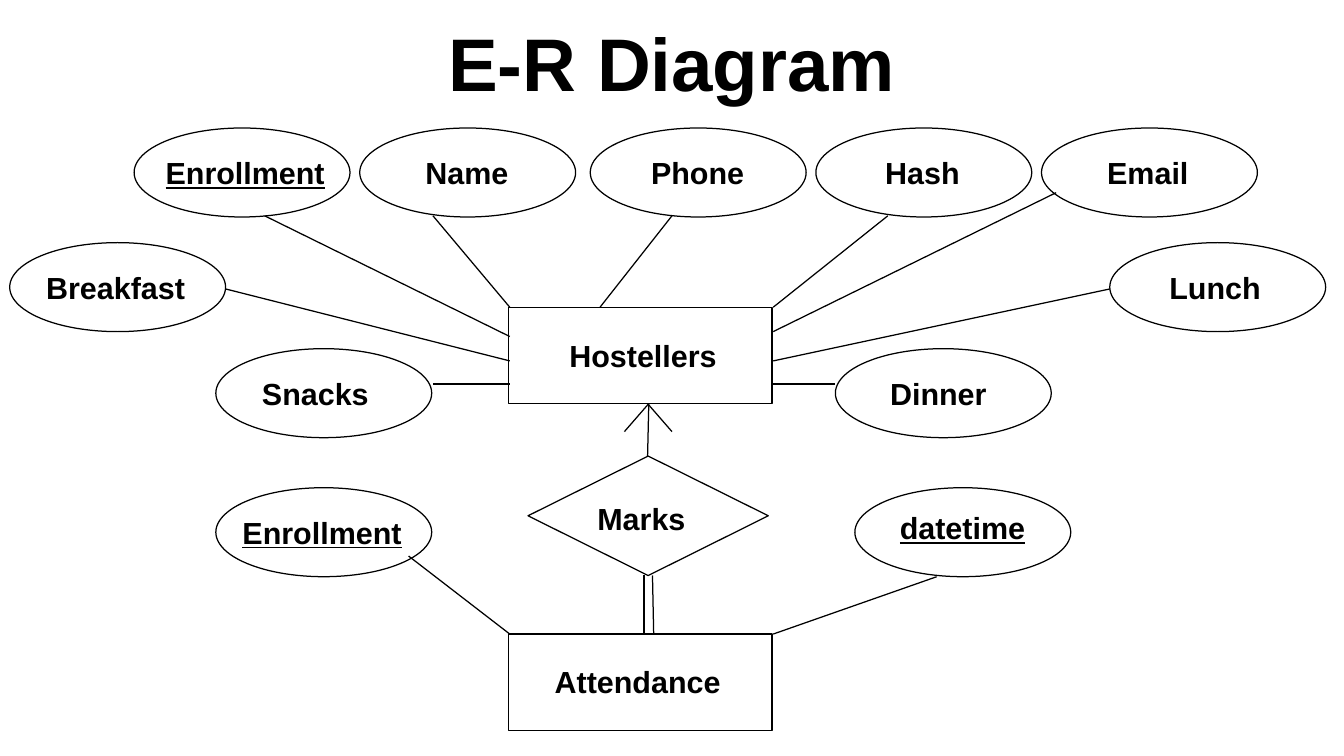
from dataclasses import dataclass
from lxml.etree import SubElement
from pptx import Presentation
from pptx.dml.color import RGBColor
from pptx.enum.shapes import MSO_CONNECTOR as Link, MSO_SHAPE as Kind
from pptx.enum.text import MSO_ANCHOR as Anchor, PP_ALIGN as Align
from pptx.oxml.ns import qn
from pptx.util import Inches, Pt


@dataclass
class Theme:
    ink = RGBColor(0, 0, 0)
    font = "Arial"
    head = Pt(44)
    body = Pt(18)
    line = Pt(0.75)


def write(frame, text, size, under=None):
    para = frame.paragraphs[0]
    para.line_spacing = 0.93
    run = para.add_run()
    run.text = text
    font = run.font
    font.name, font.size, font.bold = Theme.font, size, True
    font.underline = under
    font.color.rgb = Theme.ink
    return para


def pen(line):
    line.color.rgb = Theme.ink
    line.width = Theme.line


deck = Presentation()
deck.slide_width, deck.slide_height = Inches(11.02), Inches(6.2)
slide = deck.slides.add_slide(deck.slide_layouts[5])
shapes = slide.shapes

title = shapes.title
title.left, title.top = Inches(0.55), Inches(0.01)
title.width, title.height = Inches(9.92), Inches(1.04)
frame = title.text_frame
frame.margin_left = frame.margin_right = frame.margin_bottom = 0
frame.margin_top = Inches(0.04)
frame.vertical_anchor = Anchor.MIDDLE
write(frame, "E-R Diagram", Theme.head).alignment = Align.CENTER

sizes = {
    Kind.RECTANGLE: (2.16, 0.79),
    Kind.OVAL: (1.77, 0.73),
    Kind.DIAMOND: (1.97, 0.98),
}
nodes = [
    (Kind.RECTANGLE, 4.17, 2.52, "Hostellers", 4.57, 2.72, False),
    (Kind.RECTANGLE, 4.17, 5.2, "Attendance", 4.45, 5.39, False),
    (Kind.DIAMOND, 4.33, 3.74, "Marks", 4.8, 4.06, False),
    (Kind.OVAL, 1.1, 1.05, "Enrollment", 1.26, 1.22, True),
    (Kind.OVAL, 2.95, 1.05, "Name", 3.39, 1.22, False),
    (Kind.OVAL, 4.84, 1.05, "Phone", 5.24, 1.22, False),
    (Kind.OVAL, 6.69, 1.05, "Hash", 7.16, 1.22, False),
    (Kind.OVAL, 8.54, 1.05, "Email", 8.98, 1.22, False),
    (Kind.OVAL, 0.08, 1.99, "Breakfast", 0.28, 2.16, False),
    (Kind.OVAL, 9.1, 1.99, "Lunch", 9.49, 2.16, False),
    (Kind.OVAL, 1.77, 2.86, "Snacks", 2.05, 3.03, False),
    (Kind.OVAL, 6.85, 2.86, "Dinner", 7.2, 3.03, False),
    (Kind.OVAL, 1.77, 4, "Enrollment", 1.89, 4.17, True),
    (Kind.OVAL, 7.01, 4, "datetime", 7.28, 4.13, True),
]
for kind, left, top, text, x, y, key in nodes:
    wide, high = sizes[kind]
    node = shapes.add_shape(kind, Inches(left), Inches(top), Inches(wide), Inches(high))
    node.shadow.inherit = False
    node.fill.background()
    pen(node.line)

    span = 1.77 if kind == Kind.RECTANGLE else 1.53
    label = shapes.add_textbox(Inches(x), Inches(y), Inches(span), Inches(0.38))
    frame = label.text_frame
    frame.word_wrap = True
    frame.margin_left = frame.margin_right = Inches(0.1)
    frame.margin_top, frame.margin_bottom = Inches(0.07), Inches(0.05)
    write(frame, text, Theme.body, key or None)

west, east = 4.18, 6.34
links = [
    (west, 3.15, 3.55, 3.15),
    (west, 2.96, 1.85, 2.37),
    (west, 2.76, 2.17, 1.77),
    (west, 2.52, 3.55, 1.77),
    (4.92, 2.52, 5.51, 1.77),
    (east, 2.52, 7.28, 1.77),
    (east, 2.72, 8.66, 1.58),
    (east, 2.96, 9.1, 2.37),
    (east, 3.15, 6.85, 3.15),
    (west, 5.2, 3.35, 4.56),
    (east, 5.2, 7.68, 4.73),
    (5.31, 3.74, 5.32, 3.31),
    (5.32, 3.31, 5.12, 3.54),
    (5.31, 3.31, 5.51, 3.54),
    (5.28, 4.72, 5.28, 5.2),
    (5.35, 4.72, 5.36, 5.2),
]
for ends in links:
    link = shapes.add_connector(Link.STRAIGHT, *map(Inches, ends))
    pen(link.line)
    SubElement(link._element.spPr, qn("a:effectLst"))

deck.save("out.pptx")
